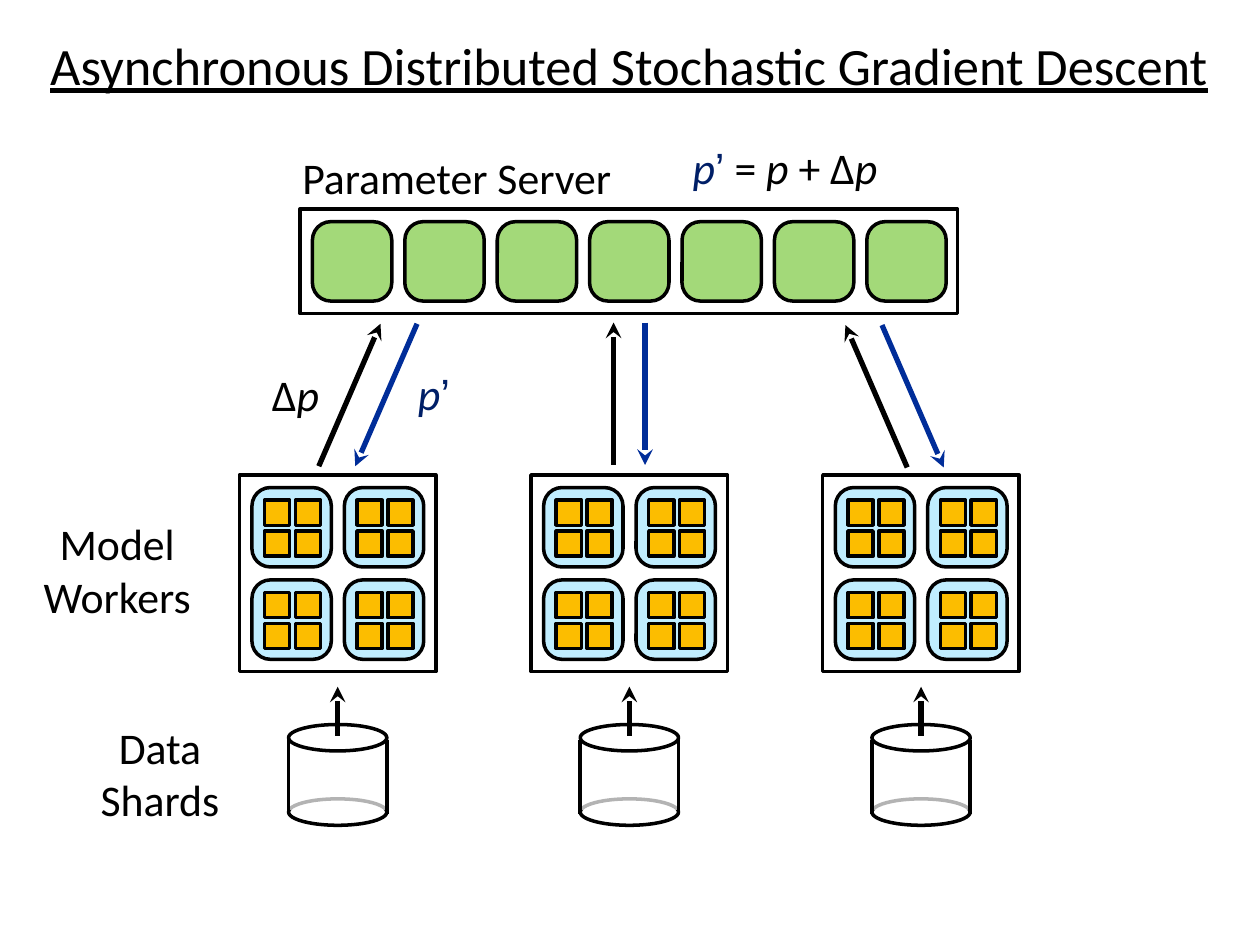
"""Build a slide on asynchronous distributed stochastic gradient descent."""
from dataclasses import dataclass
from itertools import product

from pptx import Presentation
from pptx.dml.color import RGBColor
from pptx.enum.shapes import MSO_CONNECTOR, MSO_SHAPE as Shape
from pptx.enum.text import MSO_ANCHOR, MSO_AUTO_SIZE, PP_ALIGN
from pptx.oxml.ns import qn
from pptx.util import Inches, Pt
from lxml.etree import SubElement


@dataclass(frozen=True)
class Theme:
    font: str = "Calibri"
    mark_font: str = "Arial"
    title_size: int = 30
    label_size: int = 25
    outline: int = 2
    arrow: int = 3
    ink: str = "000000"
    paper: str = "FFFFFF"
    blue: str = "002D99"
    navy: str = "001F67"
    server: str = "A3D979"
    replica: str = "C0EDFE"
    core: str = "FCBD00"


T = Theme()
TITLE = "Asynchronous Distributed Stochastic Gradient Descent"
P, P_NEW, MARK = ("p", T.ink, True), ("p", T.navy, True), ("’", T.navy, False)
LABELS = [
    ((2.4, 1.19, 2.8, 0.43), PP_ALIGN.LEFT, [[("Parameter Server", T.ink, False)]]),
    ((0.14, 4.08, 1.58, 0.88), PP_ALIGN.CENTER,
     [[("Model", T.ink, False)], [("Workers", T.ink, False)]]),
    ((0.71, 5.71, 1.12, 0.85), PP_ALIGN.CENTER,
     [[("Data", T.ink, False)], [("Shards", T.ink, False)]]),
    ((5.11, 1.07, 2.24, 0.51), PP_ALIGN.CENTER,
     [[P_NEW, MARK, (" = ", T.ink, False), P, (" + ∆", T.ink, False), P]]),
    ((1.94, 2.87, 0.81, 0.51), PP_ALIGN.CENTER, [[("∆", T.ink, False), P]]),
    ((3.04, 2.87, 0.81, 0.49), PP_ALIGN.CENTER, [[P_NEW, MARK]]),
]
ARROWS = [
    ((2.53, 3.7), (3.02, 2.57), T.ink),
    ((3.31, 2.57), (2.82, 3.7), T.blue),
    ((7.2, 3.71), (6.71, 2.58), T.ink),
    ((7, 2.58), (7.49, 3.71), T.blue),
    ((4.87, 3.69), (4.87, 2.56), T.ink),
    ((5.12, 2.56), (5.12, 3.69), T.blue),
]
SERVER_CELLS, WORKERS = 7, 3
CELL, CELL_PITCH, MARGIN = 0.63, 4.4 / 6, 0.1
CORE, CORE_PITCH = 0.2, 0.245
WORKER_LEFT, WORKER_TOP, WORKER_SIZE, WORKER_PITCH = 1.9, 3.77, 1.56, 2.315
SHARD_WIDTH, SHARD_CAP = 0.78, 0.21


def add_box(shapes, kind, box, fill=None, outlined=True):
    sp = shapes.add_shape(kind, *map(Inches, box))
    sp.shadow.inherit = False
    if fill:
        sp.fill.solid()
        sp.fill.fore_color.rgb = RGBColor.from_string(fill)
    else:
        sp.fill.background()
    if outlined:
        sp.line.color.rgb = RGBColor.from_string(T.ink)
        sp.line.width = Pt(T.outline)
    else:
        sp.line.fill.background()
    return sp


def add_cell(shapes, left, top, fill):
    add_box(shapes, Shape.ROUNDED_RECTANGLE, (left, top, CELL, CELL), fill).adjustments[0] = 0.231


def add_line(shapes, start, end, color=T.ink, arrow=False):
    line = shapes.add_connector(MSO_CONNECTOR.STRAIGHT, *map(Inches, start + end))
    line.line.color.rgb = RGBColor.from_string(color)
    line.line.width = Pt(T.arrow if arrow else T.outline)
    if arrow:
        SubElement(line.line._get_or_add_ln(), qn("a:tailEnd"), type="stealth")
    SubElement(line._element.spPr, qn("a:effectLst"))


def set_frame(tf):
    tf.margin_left = tf.margin_right = tf.margin_top = tf.margin_bottom = 0
    tf.vertical_anchor = MSO_ANCHOR.MIDDLE
    tf.auto_size = MSO_AUTO_SIZE.NONE
    tf.word_wrap = True


def add_title(slide):
    s = slide.shapes.title
    s.left, s.top, s.width, s.height = map(Inches, (0.07, 0.23, 9.85, 0.56))
    set_frame(s.text_frame)
    s.text_frame.text = TITLE
    p = s.text_frame.paragraphs[0]
    p.alignment = PP_ALIGN.CENTER
    p.font.name, p.font.size, p.font.underline = T.font, Pt(T.title_size), True
    p.font.color.rgb = RGBColor.from_string(T.ink)


def add_label(shapes, box, align, lines):
    tf = shapes.add_textbox(*map(Inches, box)).text_frame
    set_frame(tf)
    for i, runs in enumerate(lines):
        p = tf.add_paragraph() if i else tf.paragraphs[0]
        p.alignment = align
        p.font.size = Pt(T.label_size)
        for text, color, italic in runs:
            r = p.add_run()
            r.text = text
            r.font.size = Pt(T.label_size)
            r.font.name = T.mark_font if text == "’" else T.font
            r.font.italic = italic
            r.font.color.rgb = RGBColor.from_string(color)


def add_worker(shapes, left):
    for row, col in product(range(2), repeat=2):
        x = left + MARGIN + col * CELL_PITCH
        y = WORKER_TOP + MARGIN + row * CELL_PITCH
        add_cell(shapes, x, y, T.replica)
        for i, j in product(range(2), repeat=2):
            add_box(shapes, Shape.RECTANGLE,
                    (x + MARGIN + j * CORE_PITCH, y + MARGIN + i * CORE_PITCH, CORE, CORE), T.core)
    add_box(shapes, Shape.RECTANGLE, (left, WORKER_TOP, WORKER_SIZE, WORKER_SIZE))


def add_shard(shapes, center):
    left = center - SHARD_WIDTH / 2
    add_box(shapes, Shape.OVAL, (left, 6.34, SHARD_WIDTH, SHARD_CAP))
    veil = add_box(shapes, Shape.RECTANGLE, (left, 5.88, SHARD_WIDTH, 0.55), T.paper, False)
    color = veil._element.spPr.find(qn("a:solidFill"))[0]
    SubElement(color, qn("a:alpha"), val="70000")
    add_box(shapes, Shape.OVAL, (left, 5.75, SHARD_WIDTH, SHARD_CAP))
    for x in (left, left + SHARD_WIDTH):
        add_line(shapes, (x, 5.87), (x, 6.46))
    add_line(shapes, (center, 5.84), (center, 5.45), arrow=True)


def main():
    prs = Presentation()
    prs.slide_width, prs.slide_height = Inches(10), Inches(7.5)
    slide = prs.slides.add_slide(prs.slide_layouts[5])
    add_title(slide)
    for n in range(WORKERS):
        group = slide.shapes.add_group_shape().shapes
        left = WORKER_LEFT + n * WORKER_PITCH
        add_worker(group, left)
        add_shard(group, left + WORKER_SIZE / 2)
    server = slide.shapes.add_group_shape().shapes
    add_box(server, Shape.RECTANGLE, (2.38, 1.66, 5.22, 0.83))
    for n in range(SERVER_CELLS):
        add_cell(server, 2.48 + n * CELL_PITCH, 1.76, T.server)
    for start, end, color in ARROWS:
        add_line(slide.shapes, start, end, color, arrow=True)
    for box, align, lines in LABELS:
        add_label(slide.shapes, box, align, lines)
    prs.save("out.pptx")


if __name__ == "__main__":
    main()
